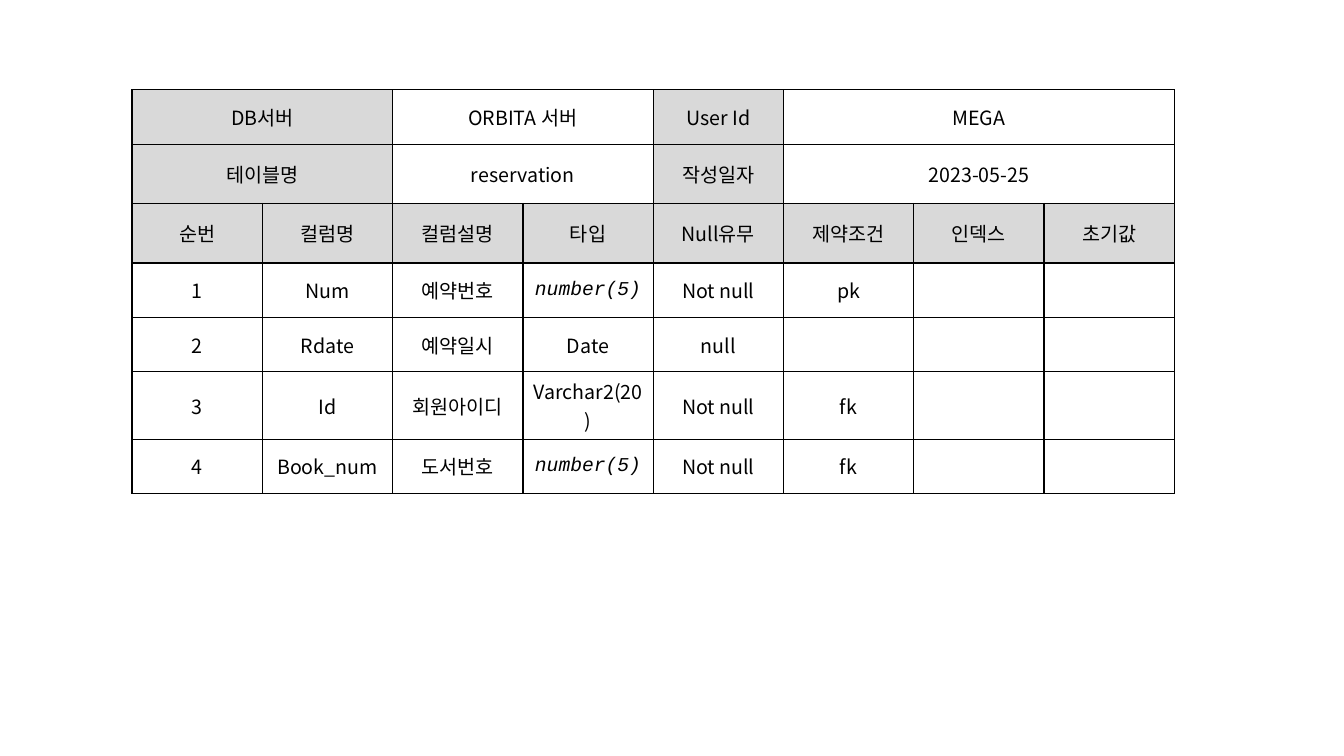
from lxml.etree import SubElement
from pptx import Presentation
from pptx.dml.color import RGBColor
from pptx.enum.text import MSO_ANCHOR, PP_ALIGN
from pptx.oxml.ns import qn
from pptx.util import Inches, Pt

COLORS = {"ink": "000000", "label": "D9D9D9", "paper": "FFFFFF"}
BODY_FONT = "Noto Sans CJK KR"
TYPE_FONT = "Courier New"

server_info = [
    ("DB서버", "ORBITA 서버", "User Id", "MEGA"),
    ("테이블명", "reservation", "작성일자", "2023-05-25"),
]
column_specs = [
    ("순번", "컬럼명", "컬럼설명", "타입", "Null유무", "제약조건", "인덱스", "초기값"),
    ("1", "Num", "예약번호", "number(5)", "Not null", "pk", "", ""),
    ("2", "Rdate", "예약일시", "Date", "null", "", "", ""),
    ("3", "Id", "회원아이디", "Varchar2(20)", "Not null", "fk", "", ""),
    ("4", "Book_num", "도서번호", "number(5)", "Not null", "fk", "", ""),
]
info_spans = [(0, 1), (2, 3), (4, 4), (5, 7)]
row_heights = [0.54, 0.59, 0.59, 0.54, 0.54, 0.54, 0.54]
table_width = 10.34


def write(cell, text, font=BODY_FONT, size=14, italic=False, color="ink", fill="paper"):
    cell.fill.solid()
    cell.fill.fore_color.rgb = RGBColor.from_string(COLORS[fill])
    cell.vertical_anchor = MSO_ANCHOR.MIDDLE
    paragraph = cell.text_frame.paragraphs[0]
    paragraph.alignment = PP_ALIGN.CENTER
    paragraph.font.size = Pt(size)
    if text:
        run = paragraph.add_run()
        run.text = text
        run.font.name = font
        run.font.size = Pt(size)
        run.font.italic = italic
        run.font.color.rgb = RGBColor.from_string(COLORS[color])
        SubElement(run.font._element, qn("a:ea"), typeface=font)


def outline(cell, color="ink", width=1):
    properties = cell._tc.get_or_add_tcPr()
    for position, side in enumerate(("a:lnL", "a:lnR", "a:lnT", "a:lnB")):
        line = SubElement(properties, qn(side), w=str(Pt(width)))
        solid = SubElement(line, qn("a:solidFill"))
        SubElement(solid, qn("a:srgbClr"), val=COLORS[color])
        properties.insert(position, line)


presentation = Presentation()
presentation.slide_width = Inches(13.33)
presentation.slide_height = Inches(7.5)
slide = presentation.slides.add_slide(presentation.slide_layouts[6])

column_count = len(column_specs[0])
reservation = slide.shapes.add_table(
    len(row_heights), column_count,
    Inches(1.31), Inches(0.89), Inches(table_width), Inches(sum(row_heights)),
).table
reservation.first_row = False
reservation.horz_banding = False
for column in reservation.columns:
    column.width = Inches(table_width / column_count)
for row, height in zip(reservation.rows, row_heights):
    row.height = Inches(height)

for row, values in enumerate(server_info):
    for index, (text, (first, last)) in enumerate(zip(values, info_spans)):
        cell = reservation.cell(row, first)
        if last > first:
            cell.merge(reservation.cell(row, last))
        write(cell, text, fill="paper" if index % 2 else "label")

for row, values in enumerate(column_specs, start=len(server_info)):
    fill = "label" if row == len(server_info) else "paper"
    for column, text in enumerate(values):
        is_number = text.startswith("number")
        write(reservation.cell(row, column), text, fill=fill, italic=is_number,
              font=TYPE_FONT if is_number else BODY_FONT)

for cell in reservation.iter_cells():
    outline(cell)

presentation.save("out.pptx")
